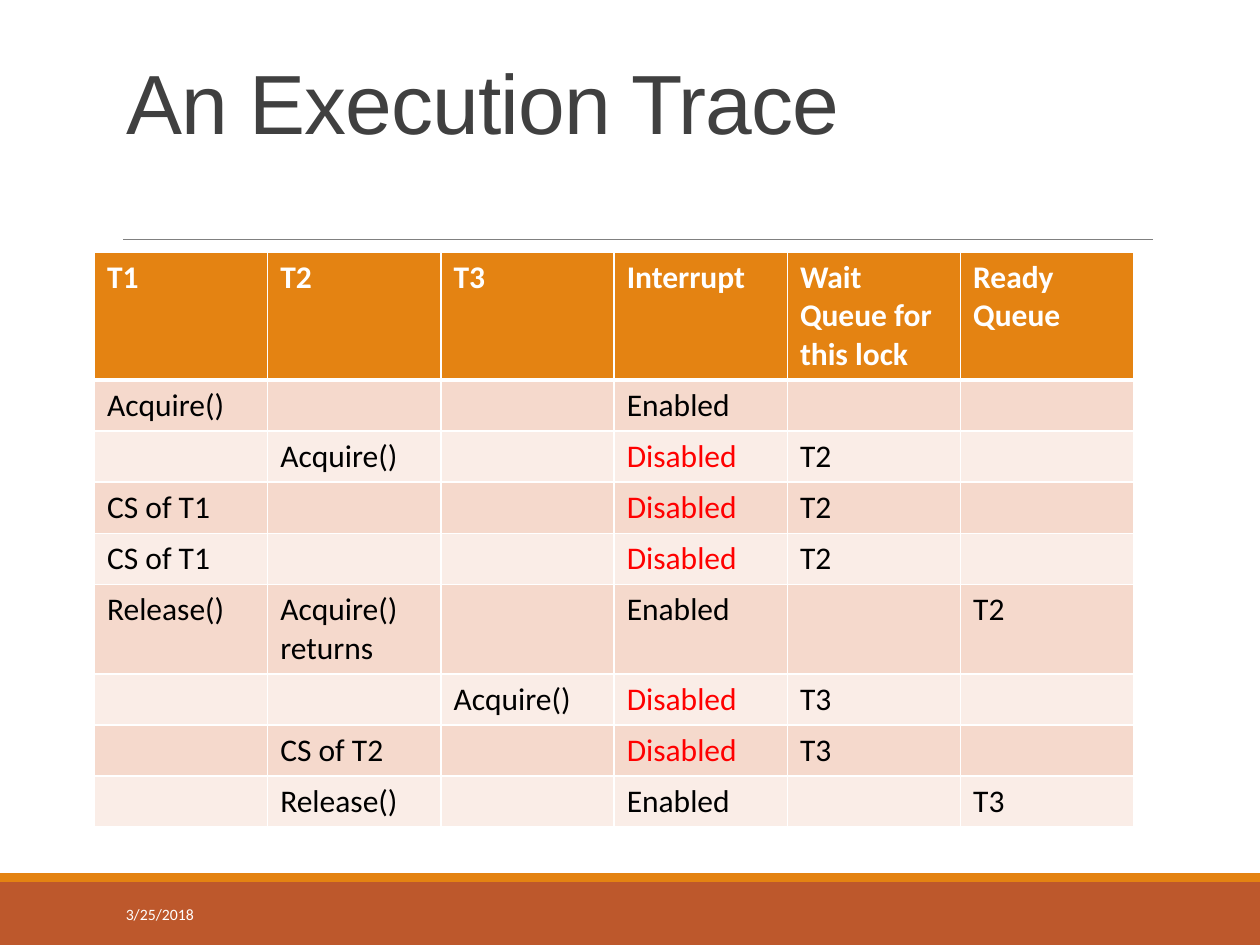
"""Builds the slide that traces three threads through a lock."""
from dataclasses import dataclass

from lxml import etree
from pptx import Presentation
from pptx import util as u
from pptx.dml.color import RGBColor
from pptx.enum import shapes, text
from pptx.oxml import ns

SCALE = 9144


@dataclass(frozen=True)
class Theme:
    head: str = "Arial"
    body: str = "Calibri"
    ink: str = "000000"
    title: str = "404040"
    paper: str = "FFFFFF"
    alert: str = "FF0000"
    gold: str = "E48312"
    rust: str = "BD582C"
    rule: str = "808080"
    bands: tuple[str, str] = ("F5D9CC", "FAEDE7")
    title_pt: int = 48
    cell_pt: int = 18
    date_pt: int = 9


@dataclass(frozen=True)
class Box:
    left: int
    top: int
    width: int
    height: int

    def emu(self) -> tuple[int, ...]:
        return tuple(px(n) for n in (self.left, self.top, self.width, self.height))


@dataclass(frozen=True)
class Bar:
    box: Box
    color: str


THEME = Theme()
BARS = (Bar(Box(0, 700, 1000, 50), THEME.rust), Bar(Box(0, 693, 1000, 7), THEME.gold))
TRACE = (
    ("T1", "T2", "T3", "Interrupt", "Wait Queue for this lock", "Ready Queue"),
    ("Acquire()", "", "", "Enabled", "", ""),
    ("", "Acquire()", "", "Disabled", "T2", ""),
    ("CS of T1", "", "", "Disabled", "T2", ""),
    ("CS of T1", "", "", "Disabled", "T2", ""),
    ("Release()", "Acquire() returns", "", "Enabled", "", "T2"),
    ("", "", "Acquire()", "Disabled", "T3", ""),
    ("", "CS of T2", "", "Disabled", "T3", ""),
    ("", "Release()", "", "Enabled", "", "T3"),
)
HEIGHTS = (101, 40, 40, 40, 40, 71, 40, 40, 40)


def px(n: int) -> int:
    return n * SCALE


def rgb(color: str) -> RGBColor:
    return RGBColor.from_string(color)


def style(frame, face: str, size: int, color: str, bold: bool = False) -> None:
    for para in frame.paragraphs:
        for run in para.runs:
            font = run.font
            font.name, font.size, font.bold = face, u.Pt(size), bold
            font.color.rgb = rgb(color)


def draw_bar(slide, bar: Bar) -> None:
    shape = slide.shapes.add_shape(shapes.MSO_SHAPE.RECTANGLE, *bar.box.emu())
    shape.shadow.inherit = False
    shape.fill.solid()
    shape.fill.fore_color.rgb = rgb(bar.color)
    shape.line.fill.background()


def draw_rule(slide, left: int, right: int, top: int) -> None:
    line = slide.shapes.add_connector(
        shapes.MSO_CONNECTOR.STRAIGHT, px(left), px(top), px(right), px(top))
    line.line.color.rgb = rgb(THEME.rule)
    line.line.width = u.Pt(0.5)
    etree.SubElement(line._element.spPr, ns.qn("a:effectLst"))


def draw_title(slide, words: str, box: Box) -> None:
    title = slide.shapes.title
    title.left, title.top, title.width, title.height = box.emu()
    frame = title.text_frame
    frame.text = words
    frame.auto_size = text.MSO_AUTO_SIZE.NONE
    frame.vertical_anchor = text.MSO_ANCHOR.BOTTOM
    para = frame.paragraphs[0]
    para.alignment = text.PP_ALIGN.LEFT
    para.line_spacing = 0.85
    style(frame, THEME.head, THEME.title_pt, THEME.title)
    para.runs[0].font._element.set("spc", "-50")


def draw_date(slide, words: str, box: Box) -> None:
    frame = slide.shapes.add_textbox(*box.emu()).text_frame
    frame.word_wrap = True
    frame.vertical_anchor = text.MSO_ANCHOR.MIDDLE
    frame.text = words
    style(frame, THEME.body, THEME.date_pt, THEME.paper)


def edge(cell, side: str, width: int) -> None:
    line = etree.SubElement(
        cell._tc.get_or_add_tcPr(), ns.qn(f"a:ln{side}"), w=str(u.Pt(width)))
    fill = etree.SubElement(line, ns.qn("a:solidFill"))
    etree.SubElement(fill, ns.qn("a:srgbClr"), val=THEME.paper)


def draw_cell(cell, words: str, row: int) -> None:
    head = row == 0
    thick = {"B": 3} if head else {"T": 3} if row == 1 else {}
    for side in "LRTB":
        edge(cell, side, thick.get(side, 1))
    cell.fill.solid()
    cell.fill.fore_color.rgb = rgb(THEME.gold if head else THEME.bands[(row - 1) % 2])
    cell.text_frame.text = words
    color = THEME.paper if head else THEME.alert if words == "Disabled" else THEME.ink
    style(cell.text_frame, THEME.body, THEME.cell_pt, color, head)


def draw_trace(slide, box: Box) -> None:
    table = slide.shapes.add_table(len(TRACE), len(TRACE[0]), *box.emu()).table
    table.horz_banding = False
    for row, (words, height) in enumerate(zip(TRACE, HEIGHTS)):
        table.rows[row].height = px(height)
        for col, word in enumerate(words):
            draw_cell(table.cell(row, col), word, row)


def main() -> None:
    deck = Presentation()
    deck.slide_width, deck.slide_height = px(1000), px(750)
    slide = deck.slides.add_slide(deck.slide_layouts[5])
    for bar in BARS:
        draw_bar(slide, bar)
    draw_rule(slide, 98, 915, 190)
    draw_title(slide, "An Execution Trace", Box(90, 29, 825, 96))
    draw_trace(slide, Box(75, 200, 825, sum(HEIGHTS)))
    draw_date(slide, "3/25/2018", Box(90, 706, 203, 40))
    deck.save("out.pptx")


if __name__ == "__main__":
    main()
